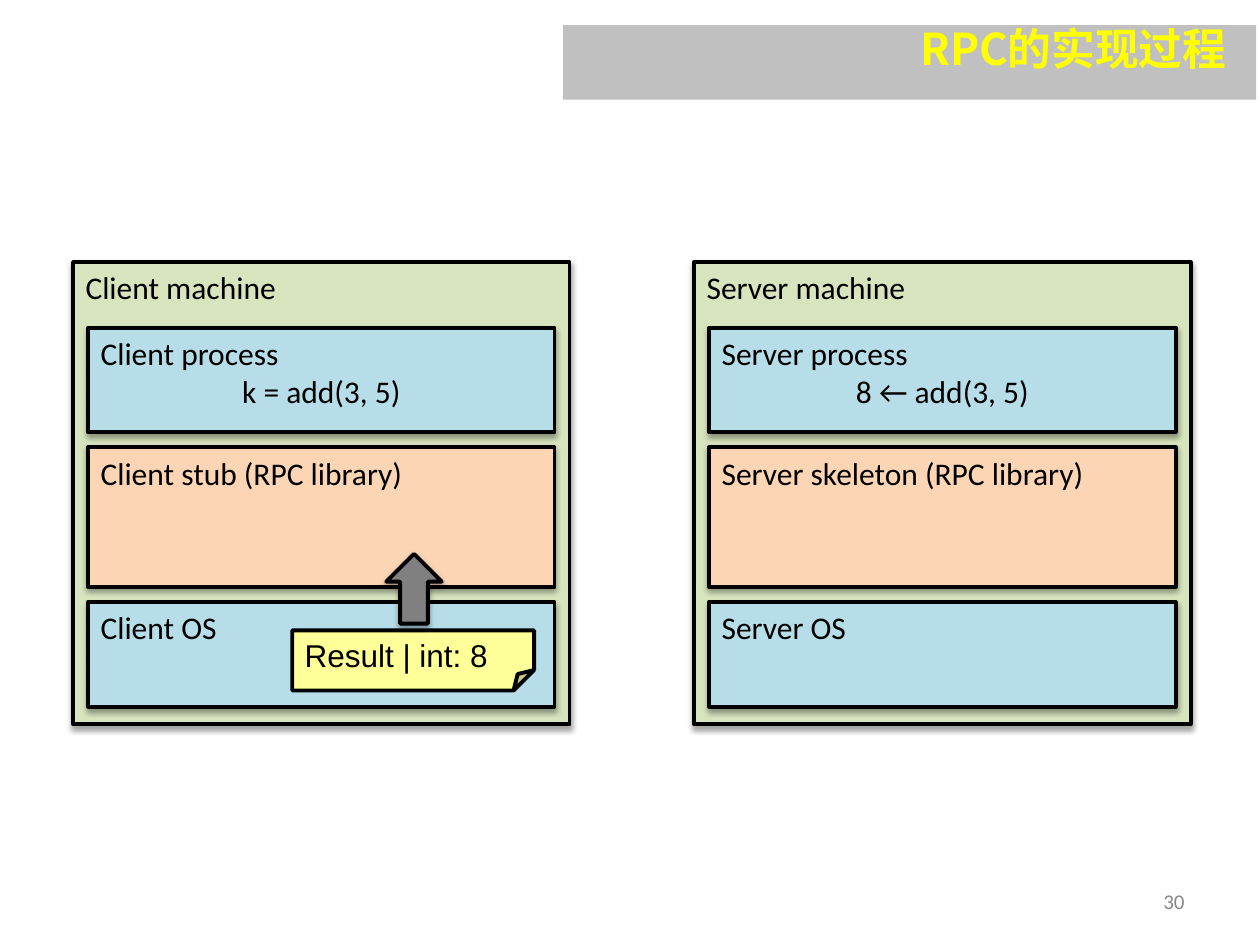
"""Build the slide showing how an RPC result returns to the client stub."""
from lxml import etree
from pptx import Presentation
from pptx.dml.color import RGBColor
from pptx.enum.shapes import MSO_SHAPE
from pptx.enum.text import MSO_ANCHOR, PP_ALIGN
from pptx.oxml import parse_xml
from pptx.oxml.ns import nsdecls, qn
from pptx.util import Pt

RECT, NOTE, ARROW = MSO_SHAPE.RECTANGLE, MSO_SHAPE.FOLDED_CORNER, MSO_SHAPE.RIGHT_ARROW
LEFT, CENTER, RIGHT = PP_ALIGN.LEFT, PP_ALIGN.CENTER, PP_ALIGN.RIGHT
TOP, MIDDLE = MSO_ANCHOR.TOP, MSO_ANCHOR.MIDDLE
BLACK = RGBColor(0x00, 0x00, 0x00)
SILVER = RGBColor(0xC0, 0xC0, 0xC0)
GRAY = RGBColor(0x80, 0x80, 0x80)
PAGE_GRAY = RGBColor(0x89, 0x89, 0x89)
GREEN = RGBColor(0xD7, 0xE4, 0xBD)
BLUE = RGBColor(0xB7, 0xDE, 0xE8)
ORANGE = RGBColor(0xFC, 0xD5, 0xB5)
NOTE_YELLOW = RGBColor(0xFF, 0xFF, 0x99)
YELLOW = RGBColor(0xFF, 0xFF, 0x00)

TITLE = "RPC的实现过程"
PAGE = "30"
RESULT = "Result | int: 8"
MACHINES = [
    ("Client machine", [["Client process", "k = add(3, 5)"],
                        ["Client stub (RPC library)"], ["Client OS"]]),
    ("Server machine", [["Server process", "8 ← add(3, 5)"],
                        ["Server skeleton (RPC library)"], ["Server OS"]]),
]
LAYERS = [(59.8, BLUE), (79.9, ORANGE), (59.8, BLUE)]
MACHINE_X, MACHINE_Y, MACHINE_W, MACHINE_H = 41.8, 149.8, 283.7, 264.2
MACHINE_STEP = 354.9
LAYER_Y, GAP = 187.2, 8.6
SHADOW = (
    f'<a:effectLst {nsdecls("a")}><a:outerShdw blurRad="40000" dist="23000" '
    'dir="5400000" rotWithShape="0"><a:srgbClr val="000000">'
    '<a:alpha val="35000"/></a:srgbClr></a:outerShdw></a:effectLst>'
)


def write(sp, lines, size=18, font="Calibri", color=BLACK, bold=False,
          aligns=(LEFT, CENTER), anchor=TOP):
    tf = sp.text_frame
    tf.word_wrap = True
    tf.vertical_anchor = anchor
    for i, line in enumerate(lines):
        p = tf.add_paragraph() if i else tf.paragraphs[0]
        p.alignment = aligns[i]
        r = p.add_run()
        r.text = line
        r.font.size = Pt(size)
        r.font.name = font
        r.font.bold = bold
        r.font.color.rgb = color
        etree.SubElement(r.font._element, qn("a:ea"), typeface=font)


def add_shape(s, kind, box, fill, outlined=True, shadowed=True):
    sp = s.shapes.add_shape(kind, *map(Pt, box))
    sp.shadow.inherit = False
    sp.fill.solid()
    sp.fill.fore_color.rgb = fill
    if outlined:
        sp.line.color.rgb = BLACK
        sp.line.width = Pt(2.25)
    else:
        sp.line.fill.background()
    if shadowed:
        pr = sp._element.spPr
        pr.replace(pr.find(qn("a:effectLst")), parse_xml(SHADOW))
    return sp


def add_text(s, text, box, **fmt):
    sp = s.shapes.add_textbox(*map(Pt, box))
    write(sp, [text], aligns=(RIGHT,), anchor=MIDDLE, **fmt)


def add_machine(s, x, name, layers):
    sp = add_shape(s, RECT, (x, MACHINE_Y, MACHINE_W, MACHINE_H), GREEN)
    write(sp, [name])
    y = LAYER_Y
    for lines, (height, fill) in zip(layers, LAYERS):
        sp = add_shape(s, RECT, (x + GAP, y, MACHINE_W - 2 * GAP, height), fill)
        write(sp, lines)
        y += height + GAP


def main():
    prs = Presentation()
    prs.slide_width, prs.slide_height = Pt(720), Pt(540)
    s = prs.slides.add_slide(prs.slide_layouts[6])
    add_shape(s, RECT, (321.8, 14.4, 396, 42.5), SILVER, outlined=False, shadowed=False)
    add_text(s, PAGE, (516, 500.5, 168, 28.8), size=12, color=PAGE_GRAY)
    for i, (name, layers) in enumerate(MACHINES):
        add_machine(s, MACHINE_X + i * MACHINE_STEP, name, layers)
    note = add_shape(s, NOTE, (167, 360.2, 138.2, 34.4), NOTE_YELLOW, shadowed=False)
    fold = note._element.spPr.find(qn("a:prstGeom")).find(qn("a:avLst"))
    etree.SubElement(fold, qn("a:gd"), name="adj", fmla="val 34000")
    write(note, [RESULT], font="Arial")
    arrow = add_shape(s, ARROW, (216.7, 320.6, 39.8, 31.7), GRAY)
    arrow.rotation = 270
    add_text(s, TITLE, (378, 12.2, 329.8, 30.2), size=25, font="Noto Sans CJK SC",
             color=YELLOW, bold=True)
    prs.save("out.pptx")


if __name__ == "__main__":
    main()
